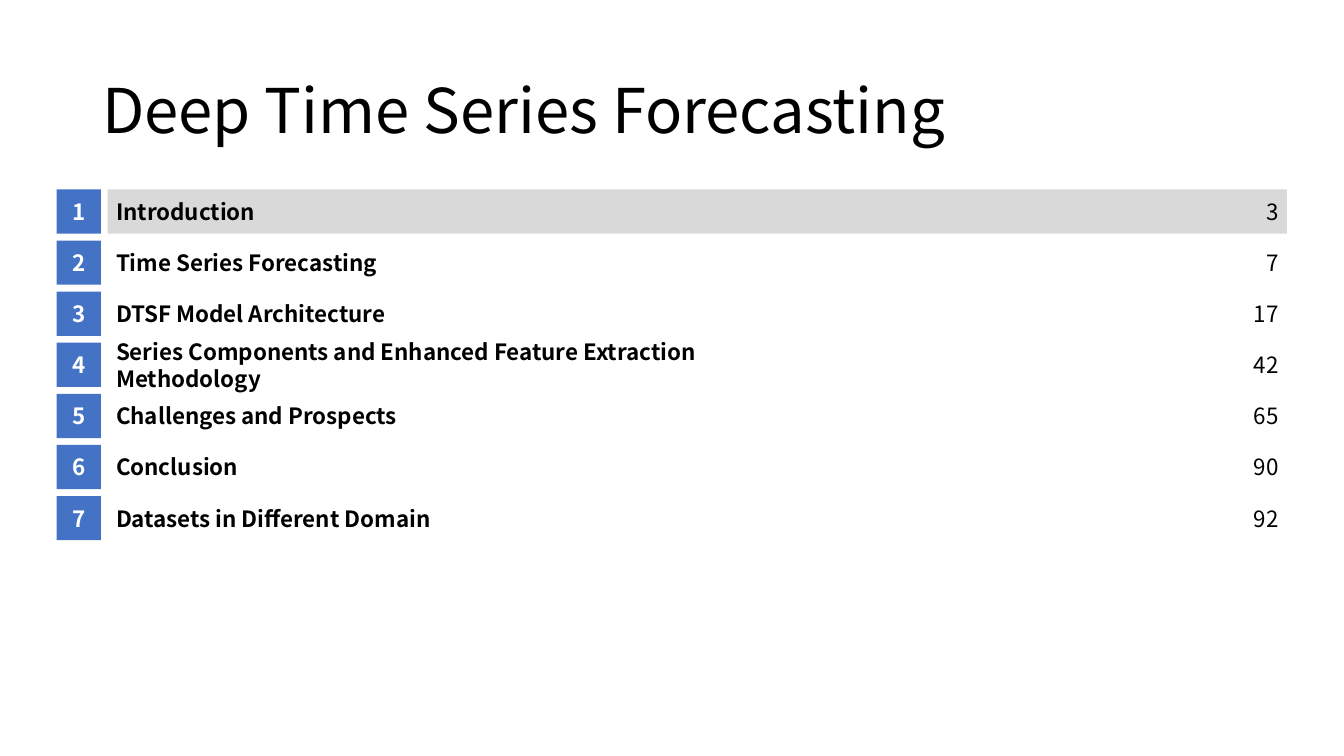
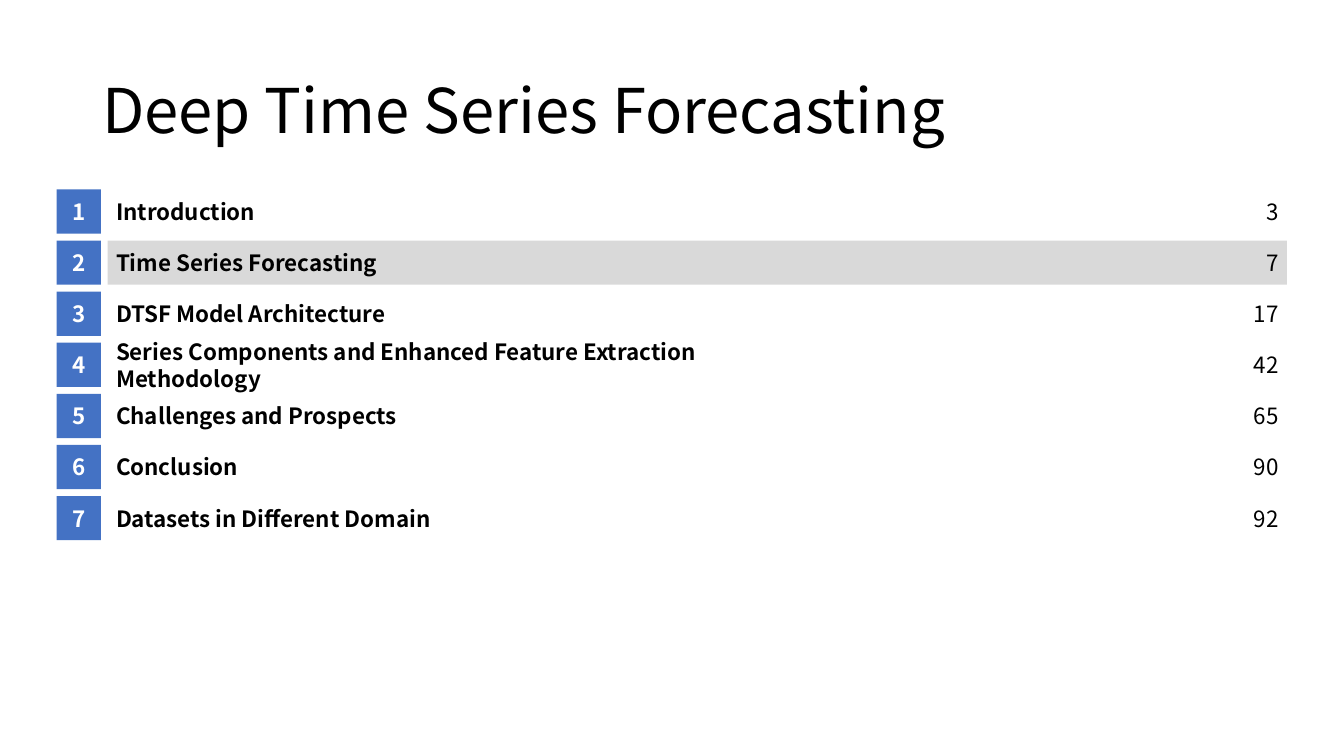
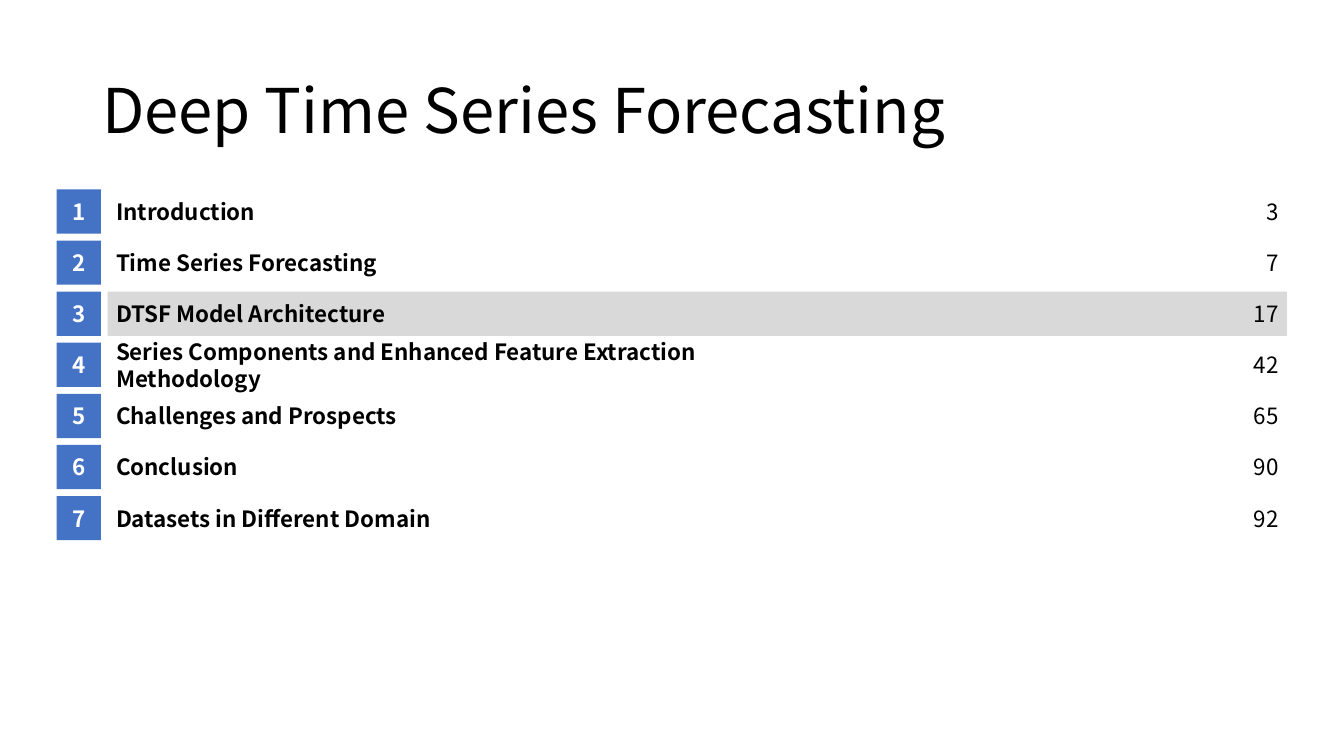
"""Build the agenda slides of a talk on deep time series forecasting."""
from pptx import Presentation
from pptx.dml.color import RGBColor
from pptx.enum.shapes import MSO_SHAPE
from pptx.enum.text import MSO_ANCHOR, PP_ALIGN
from pptx.util import Pt

COLORS = {"badge": "4472C4", "highlight": "D9D9D9", "text": "000000", "number": "FFFFFF"}
FONT = "Noto Sans CJK SC"
TITLE = "Deep Time Series Forecasting"
SECTIONS = [
    ("Introduction", 3),
    ("Time Series Forecasting", 7),
    ("DTSF Model Architecture", 17),
    ("Series Components and Enhanced Feature Extraction Methodology", 42),
    ("Challenges and Prospects", 65),
    ("Conclusion", 90),
    ("Datasets in Different Domain", 92),
]
HIGHLIGHTED = (1, 2, 3)

BADGE_LEFT = 40.4
ROW_TOP = 135.3
ROW_HEIGHT = 31.6
ROW_PITCH = 36.5
LABEL_LEFT = BADGE_LEFT + ROW_PITCH
LABEL_WIDTH = 495.5
BAND_WIDTH = 842.4
INSET = 6
PAGE_WIDTH = 36


def write(shape, text, size=16, color="text", bold=False, align=PP_ALIGN.LEFT, inset=0):
    frame = shape.text_frame
    frame.text = text
    frame.word_wrap = True
    frame.vertical_anchor = MSO_ANCHOR.MIDDLE
    frame.margin_left = frame.margin_right = Pt(inset)
    frame.margin_top = frame.margin_bottom = 0
    paragraph = frame.paragraphs[0]
    paragraph.alignment = align
    font = paragraph.runs[0].font
    font.name = FONT
    font.size = Pt(size)
    font.bold = bold
    font.color.rgb = RGBColor.from_string(COLORS[color])
    return paragraph


def add_text(slide, left, top, width, height, text, **style):
    box = slide.shapes.add_textbox(Pt(left), Pt(top), Pt(width), Pt(height))
    return write(box, text, **style)


def add_block(slide, left, top, width, color):
    block = slide.shapes.add_shape(
        MSO_SHAPE.RECTANGLE, Pt(left), Pt(top), Pt(width), Pt(ROW_HEIGHT))
    block.shadow.inherit = False
    block.fill.solid()
    block.fill.fore_color.rgb = RGBColor.from_string(COLORS[color])
    block.line.fill.background()
    return block


def add_title(slide):
    title = add_text(slide, 66, 28.8, 828, 104.4, TITLE, size=44, inset=7.2)
    title.line_spacing = 0.9


def add_section(slide, number, name, page, highlighted):
    top = ROW_TOP + (number - 1) * ROW_PITCH
    if highlighted:
        add_block(slide, LABEL_LEFT, top, BAND_WIDTH, "highlight")
    badge = add_block(slide, BADGE_LEFT, top, ROW_HEIGHT, "badge")
    write(badge, str(number), color="number", bold=True, align=PP_ALIGN.CENTER)
    add_text(slide, LABEL_LEFT, top, LABEL_WIDTH, ROW_HEIGHT, name, bold=True, inset=INSET)
    page_left = LABEL_LEFT + BAND_WIDTH - INSET - PAGE_WIDTH
    add_text(slide, page_left, top, PAGE_WIDTH, ROW_HEIGHT, str(page), align=PP_ALIGN.RIGHT)


def add_agenda(deck, current):
    slide = deck.slides.add_slide(deck.slide_layouts[6])
    add_title(slide)
    for number, (name, page) in enumerate(SECTIONS, start=1):
        add_section(slide, number, name, page, number == current)


def main():
    deck = Presentation()
    deck.slide_width, deck.slide_height = Pt(960), Pt(540)
    for current in HIGHLIGHTED:
        add_agenda(deck, current)
    deck.save("out.pptx")


if __name__ == "__main__":
    main()
